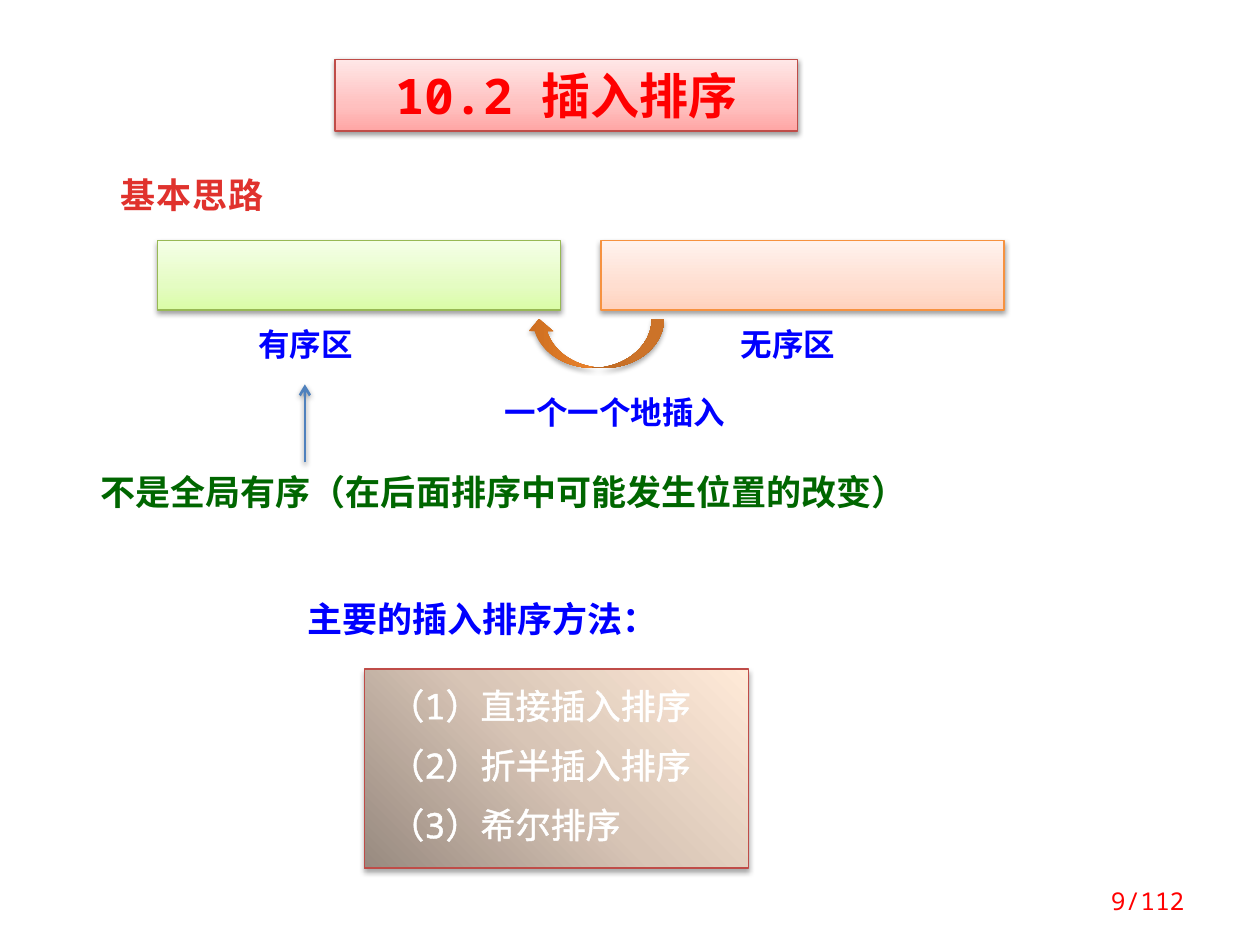
import pptx
import pptx.dml.color
import pptx.enum.shapes
import pptx.enum.text
import pptx.oxml
import pptx.oxml.ns
import pptx.util

COLS, ROWS = 100, 75
WIDTH, HEIGHT = pptx.util.Inches(10), pptx.util.Inches(7.5)
MONO, SANS = "Noto Sans Mono", "Noto Sans CJK SC"
COLORS = {
    "red": "FF0000", "brick": "E0322D", "blue": "0000FF", "green": "006600",
    "white": "FFFFFF", "arrow": "4F81BD", "red edge": "BF4C48",
    "green edge": "98B955", "orange edge": "F69240",
}
GRADIENTS = {
    "title": {0: "FFA6A5", 35: "FFC0BF", 100: "FFE7E7"},
    "sorted": {0: "DAFDA7", 35: "E4FCC2", 100: "F5FFE7"},
    "unsorted": {0: "FFD2BD", 35: "FFDED0", 100: "FFF2ED"},
    "methods": {0: "988A80", 50: "D8C5B6", 100: "FFEAD8"},
    "insert": {0: "CC6E20", 80: "FF9034", 100: "FF9136"},
}
UPWARD = '<a:lin ang="16200000" scaled="0"/>'
FROM_CORNER = ('<a:path path="circle"><a:fillToRect t="100000" r="100000"/>'
               '</a:path>')
ALIGN = pptx.enum.text.PP_ALIGN
SHAPE = pptx.enum.shapes.MSO_SHAPE


def rgb(name):
    return pptx.dml.color.RGBColor.from_string(COLORS[name])


def xml(tag, attrs="", inner=""):
    ns = pptx.oxml.ns.nsdecls("a")
    return pptx.oxml.parse_xml(f"<a:{tag} {ns} {attrs}>{inner}</a:{tag}>")


def place(col, row, cols, rows):
    """Turn grid columns and rows into slide lengths."""
    return (int(WIDTH * col / COLS), int(HEIGHT * row / ROWS),
            int(WIDTH * cols / COLS), int(HEIGHT * rows / ROWS))


def add_shadow(sp, alpha=38, dist=1.6):
    for old in sp._element.spPr.findall(pptx.oxml.ns.qn("a:effectLst")):
        sp._element.spPr.remove(old)
    blur, gap = pptx.util.Pt(3.1), pptx.util.Pt(dist)
    sp._element.spPr.append(xml("effectLst", inner=(
        f'<a:outerShdw blurRad="{blur}" dist="{gap}" dir="5400000" '
        f'rotWithShape="0"><a:srgbClr val="000000">'
        f'<a:alpha val="{alpha * 1000}"/></a:srgbClr></a:outerShdw>')))


def add_gradient_shape(s, kind, cell, gradient, edge=None, path=UPWARD,
                       alpha=38, dist=1.6):
    sp = s.shapes.add_shape(kind, *place(*cell))
    stops = "".join(
        f'<a:gs pos="{pos * 1000}"><a:srgbClr val="{color}"/></a:gs>'
        for pos, color in GRADIENTS[gradient].items())
    sp._element.spPr.find(pptx.oxml.ns.qn("a:prstGeom")).addnext(
        xml("gradFill", 'rotWithShape="1"', f"<a:gsLst>{stops}</a:gsLst>{path}"))
    if edge:
        sp.line.color.rgb = rgb(edge)
        sp.line.width = pptx.util.Pt(0.75)
    else:
        sp.line.fill.background()
    add_shadow(sp, alpha, dist)
    return sp


def write(sp, lines, size, color, bold=True, font=MONO, align=ALIGN.LEFT):
    tf = sp.text_frame
    tf.word_wrap = True
    tf.text = "\n".join(lines)
    for i, p in enumerate(tf.paragraphs):
        p.alignment = align
        if i:
            p.space_before = pptx.util.Pt(size / 2)
        p.font.size = pptx.util.Pt(size)
        p.font.bold = bold
        p.font.color.rgb = rgb(color)
        p.font.name = font
        p.font._element.append(xml("ea", f'typeface="{font}"'))
    return tf


def add_label(s, cell, text, size, color, **style):
    sp = s.shapes.add_textbox(*place(*cell))
    return write(sp, [text], size, color, **style)


def add_up_arrow(s, col, bottom, top):
    x, y1, _, _ = place(col, bottom, 0, 0)
    _, y2, _, _ = place(col, top, 0, 0)
    line = s.shapes.add_connector(
        pptx.enum.shapes.MSO_CONNECTOR.STRAIGHT, x, y1, x, y2)
    line.line.color.rgb = rgb("arrow")
    line.line.width = pptx.util.Pt(1.5)
    line.line._get_or_add_ln().append(xml("tailEnd", 'type="arrow"'))
    add_shadow(line)


def add_methods(s):
    sp = add_gradient_shape(s, SHAPE.RECTANGLE, (28.9, 53.1, 30.5, 15.8),
                            "methods", "red edge", FROM_CORNER, 35, 1.8)
    tf = write(sp, ["（1）直接插入排序", "（2）折半插入排序", "（3）希尔排序"],
               20, "white", bold=False)
    tf.vertical_anchor = pptx.enum.text.MSO_ANCHOR.TOP
    tf.margin_left = pptx.util.Inches(0.2)
    tf.margin_top = tf.margin_bottom = pptx.util.Inches(0.12)
    for p in tf.paragraphs:
        p.font._element.insert(0, xml(
            "ln", f'w="{pptx.util.Pt(1.45)}"',
            f'<a:solidFill><a:srgbClr val="{COLORS["white"]}"/></a:solidFill>'))


def main():
    prs = pptx.Presentation()
    prs.slide_width, prs.slide_height = WIDTH, HEIGHT
    s = prs.slides.add_slide(prs.slide_layouts[6])

    title = add_gradient_shape(s, SHAPE.RECTANGLE, (26.6, 4.7, 36.7, 5.7),
                               "title", "red edge")
    write(title, ["10.2 插入排序"], 28, "red", align=ALIGN.CENTER)
    add_methods(s)

    for bar, label, text, zone, edge in (
            (12.5, 19.5, "有序区", "sorted", "green edge"),
            (47.7, 57.8, "无序区", "unsorted", "orange edge")):
        add_gradient_shape(s, SHAPE.RECTANGLE, (bar, 19.1, 32, 5.5), zone, edge)
        add_label(s, (label, 25.3, 16.4, 4), text, 18, "blue")

    insert = add_gradient_shape(s, SHAPE.CURVED_LEFT_ARROW,
                                (45.3, 21.8, 3.9, 10.9), "insert",
                                alpha=35, dist=1.8)
    insert.rotation = 90
    add_label(s, (39.1, 30.7, 20.3, 4), "一个一个地插入", 18, "blue")

    idea = add_label(s, (8.6, 13.3, 14.1, 4.4), "基本思路", 20, "brick", font=SANS)
    idea.paragraphs[0].font._element.set("spc", "50")
    note = add_label(s, (7, 36.7, 66.4, 4.3),
                     "不是全局有序（在后面排序中可能发生位置的改变）", 20, "green")
    note.paragraphs[0].line_spacing = pptx.util.Pt(25)
    add_up_arrow(s, 24.2, 36.7, 30.5)
    add_label(s, (23.4, 46.9, 28.1, 4.4), "主要的插入排序方法：", 20, "blue")
    page = add_label(s, (82.8, 69.5, 12.2, 4), "9/112", 14, "red",
                     bold=False, align=ALIGN.RIGHT)
    page.vertical_anchor = pptx.enum.text.MSO_ANCHOR.MIDDLE
    prs.save("out.pptx")


if __name__ == "__main__":
    main()
